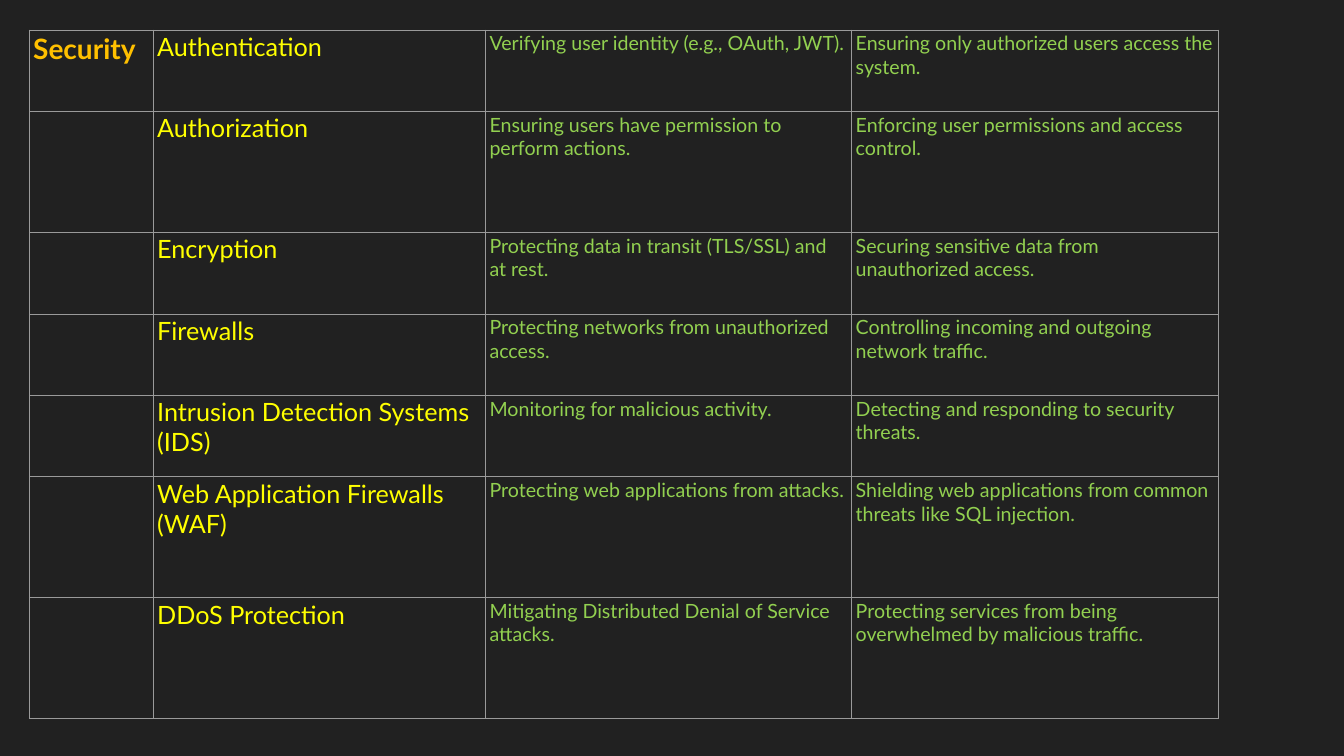
from dataclasses import dataclass

from lxml.etree import SubElement
from pptx import Presentation
from pptx.dml.color import RGBColor
from pptx.oxml.ns import qn
from pptx.util import Pt


@dataclass(frozen=True)
class Theme:
    font: str = "Lato"
    back: str = "212121"
    line: str = "9A9A9A"
    weight: float = 0.75
    colors: tuple = ("FFC000", "FFFF00", "92D050", "92D050")
    sizes: tuple = (20, 18, 14, 14)


THEME = Theme()
WIDTHS = (88.6, 237.4, 261.6, 261.6)
SHORT, TALL = 58.2, 86.4
TOPICS = (
    (SHORT, "Security", "Authentication",
     "Verifying user identity (e.g., OAuth, JWT).",
     "Ensuring only authorized users access the system."),
    (TALL, "", "Authorization",
     "Ensuring users have permission to perform actions.",
     "Enforcing user permissions and access control."),
    (SHORT, "", "Encryption",
     "Protecting data in transit (TLS/SSL) and at rest.",
     "Securing sensitive data from unauthorized access."),
    (SHORT, "", "Firewalls",
     "Protecting networks from unauthorized access.",
     "Controlling incoming and outgoing network traffic."),
    (SHORT, "", "Intrusion Detection Systems (IDS)",
     "Monitoring for malicious activity.",
     "Detecting and responding to security threats."),
    (TALL, "", "Web Application Firewalls (WAF)",
     "Protecting web applications from attacks.",
     "Shielding web applications from common threats like SQL injection."),
    (TALL, "", "DDoS Protection",
     "Mitigating Distributed Denial of Service attacks.",
     "Protecting services from being overwhelmed by malicious traffic."),
)


def add_border(cell):
    props = cell._tc.get_or_add_tcPr()
    for side in ("a:lnL", "a:lnR", "a:lnT", "a:lnB"):
        line = SubElement(props, qn(side), w=str(Pt(THEME.weight)))
        fill = SubElement(line, qn("a:solidFill"))
        SubElement(fill, qn("a:srgbClr"), val=THEME.line)


def fill_cell(cell, text, col):
    add_border(cell)
    cell.fill.background()
    cell.margin_left = cell.margin_right = Pt(2.7)
    cell.margin_top = cell.margin_bottom = Pt(0.9)
    para = cell.text_frame.paragraphs[0]
    para.text = text
    font = para.font
    font.name = THEME.font
    font.size = Pt(THEME.sizes[col])
    font.bold = col == 0
    font.color.rgb = RGBColor.from_string(THEME.colors[col])


def add_topics(slide, left, top, width, height):
    frame = slide.shapes.add_table(
        len(TOPICS), len(WIDTHS), Pt(left), Pt(top), Pt(width), Pt(height))
    table = frame.table
    table.first_row = table.horz_banding = False
    across = width / sum(WIDTHS)
    down = height / sum(topic[0] for topic in TOPICS)
    for column, size in zip(table.columns, WIDTHS):
        column.width = Pt(size * across)
    for row, (size, *texts) in zip(table.rows, TOPICS):
        row.height = Pt(size * down)
        for col, (cell, text) in enumerate(zip(row.cells, texts)):
            fill_cell(cell, text, col)


def main():
    deck = Presentation()
    deck.slide_width, deck.slide_height = Pt(960), Pt(540)
    slide = deck.slides.add_slide(deck.slide_layouts[6])
    fill = slide.background.fill
    fill.solid()
    fill.fore_color.rgb = RGBColor.from_string(THEME.back)
    add_topics(slide, 21, 21.5, 849.2, 492)
    deck.save("out.pptx")


if __name__ == "__main__":
    main()
